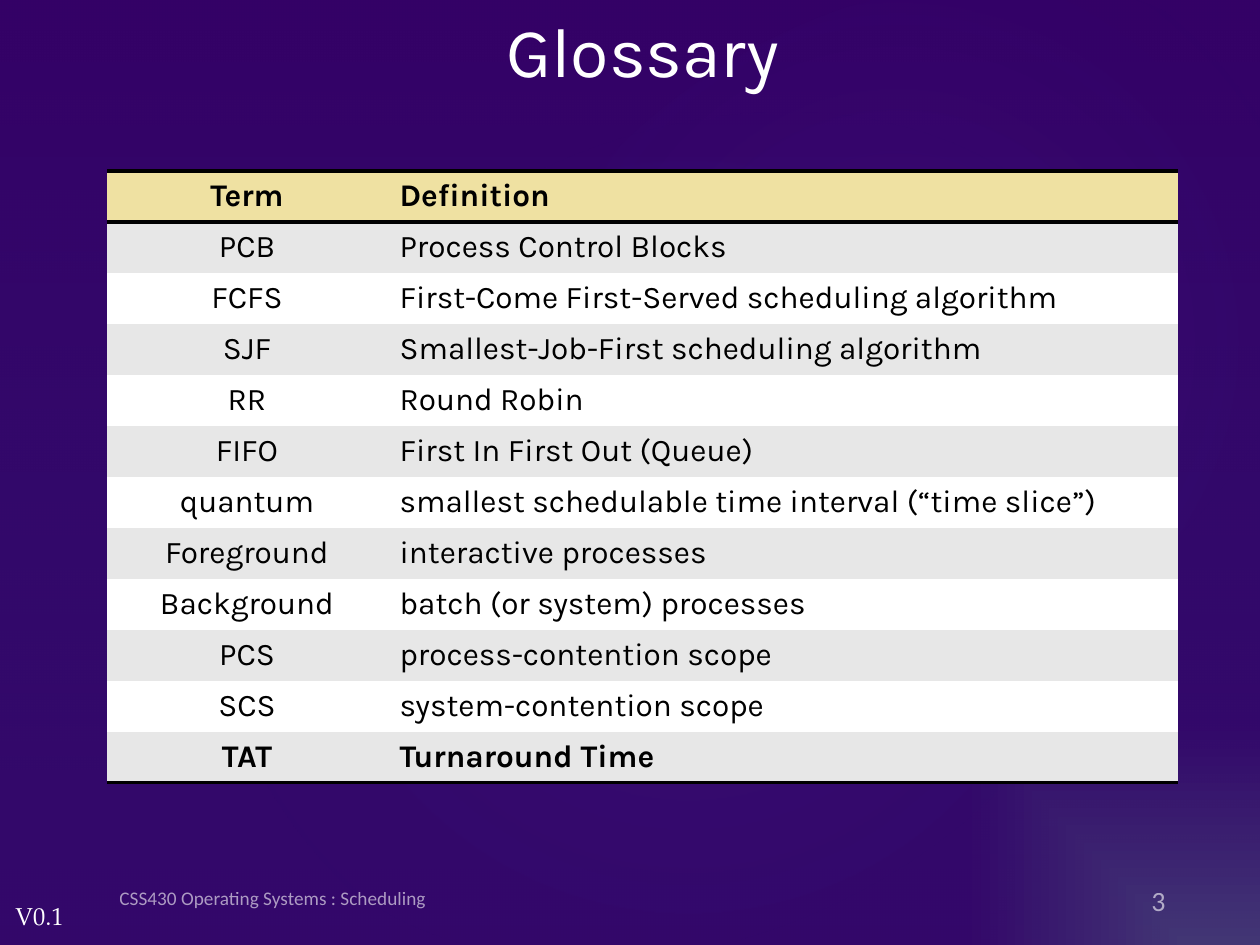
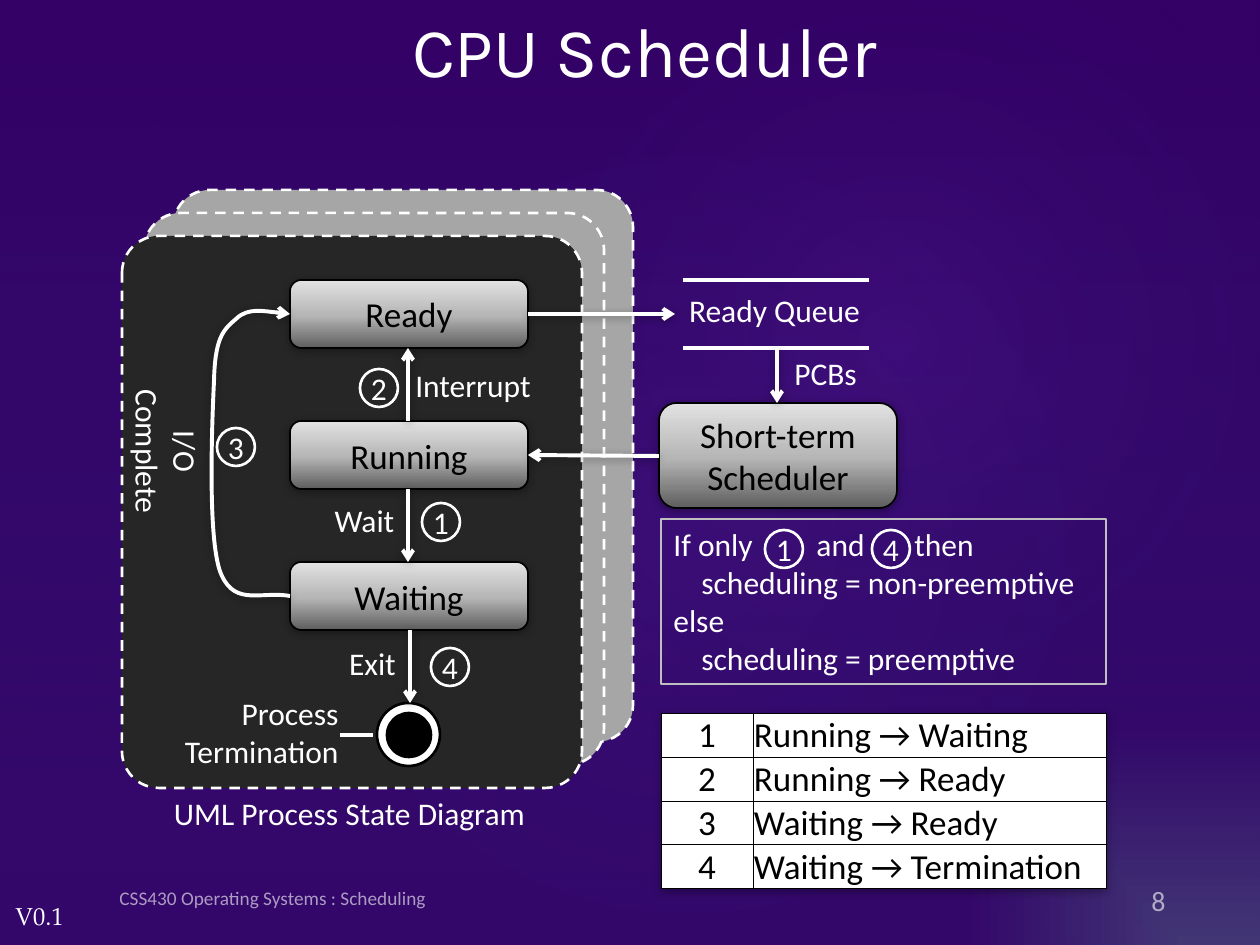
from lxml.etree import SubElement
from pptx import Presentation
from pptx.dml.color import RGBColor
from pptx.enum.dml import MSO_LINE
from pptx.enum.shapes import MSO_CONNECTOR, MSO_SHAPE
from pptx.enum.text import MSO_ANCHOR, MSO_AUTO_SIZE, PP_ALIGN
from pptx.oxml import parse_xml
from pptx.oxml.ns import nsdecls, qn
from pptx.util import Pt

PX = 914400 / 126
WHITE = RGBColor(0xFF, 0xFF, 0xFF)
BLACK = RGBColor(0, 0, 0)
SAND = RGBColor(0xEF, 0xE1, 0xA2)
PALE_GREY = RGBColor(0xE7, 0xE7, 0xE7)
RULE_GREY = RGBColor(0xBF, 0xBF, 0xBF)
SHEET_GREY = RGBColor(0xA6, 0xA6, 0xA6)
CHARCOAL = RGBColor(0x26, 0x26, 0x26)
STEEL = [RGBColor(v, v, v) for v in (0x5E, 0xB6, 0xE2)]
NIGHT = RGBColor(0x33, 0, 0x66)
NAVY = RGBColor(0x26, 0x3B, 0x86)
VIOLET = RGBColor(0xA3, 0x47, 0xFF)
DUSK = RGBColor(0x46, 0x36, 0x73)
INDIGO = RGBColor(0x35, 0x02, 0x67)
LEFT, CENTER, RIGHT = PP_ALIGN.LEFT, PP_ALIGN.CENTER, PP_ALIGN.RIGHT
PLAIN_TABLE = "{2D5ABB26-0587-4C30-8999-92F81FD0307C}"
FOOTER = "CSS430 Operating Systems : Scheduling"
CIRCLE_CENTER = (50, 50, 50, 50)


# --- Formatting helpers ---
def emu(*lengths):
    return [round(length * PX) for length in lengths]


def assign(target, **values):
    for key, value in values.items():
        setattr(target, key, value)


def gradient(owner, fill, stops, angle=None, focus=None, shape="circle"):
    """Fill with stops of (percent, colour, opacity), along an angle or around a focus."""
    fill.background()
    marks = "".join(
        f'<a:gs pos="{pos * 1000}"><a:srgbClr val="{color}">'
        f'<a:alpha val="{opacity * 1000}"/></a:srgbClr></a:gs>'
        for pos, color, opacity in stops)
    if focus:
        sides = " ".join(f'{side}="{v * 1000}"' for side, v in zip("ltrb", focus))
        way = f'<a:path path="{shape}"><a:fillToRect {sides}/></a:path>'
    else:
        way = f'<a:lin ang="{angle * 60000}" scaled="0"/>'
    blank = owner.find(".//" + qn("a:noFill"))
    blank.getparent().replace(blank, parse_xml(
        f'<a:gradFill {nsdecls("a")} rotWithShape="1"><a:gsLst>{marks}</a:gsLst>{way}</a:gradFill>'))


def soft_shadow():
    return parse_xml(
        f'<a:effectLst {nsdecls("a")}><a:outerShdw blurRad="63500" dist="12700" dir="5400000" '
        'rotWithShape="0"><a:srgbClr val="000000"><a:alpha val="32000"/></a:srgbClr>'
        '</a:outerShdw></a:effectLst>')


def set_shadow(part, visible):
    props = part._element.spPr
    for effects in props.findall(qn("a:effectLst")):
        props.remove(effects)
    if visible:
        props.append(soft_shadow())
    else:
        SubElement(props, qn("a:effectLst"))


def write(frame, text, size=18, font="Calibri", color=WHITE, align=CENTER, bold=False,
          opacity=100, **frame_format):
    assign(frame, **frame_format)
    frame.text = text
    for paragraph in frame.paragraphs:
        paragraph.alignment = align
        for run in paragraph.runs:
            assign(run.font, size=Pt(size), name=font, bold=bold)
            run.font.color.rgb = color
            if opacity < 100:
                tint = run._r.find(".//" + qn("a:srgbClr"))
                SubElement(tint, qn("a:alpha")).set("val", str(opacity * 1000))


def label(slide, text, x, y, w, h, wrap=False, turn=0, **style):
    box = slide.shapes.add_textbox(*emu(x, y, w, h))
    box.rotation = turn
    write(box.text_frame, text, word_wrap=wrap, **style)
    return box


def preset(slide, kind, box, fill=None, line=None, width=1.5):
    part = slide.shapes.add_shape(kind, *emu(*box))
    part.shadow.inherit = False
    if fill is None:
        part.fill.background()
    else:
        part.fill.solid()
        part.fill.fore_color.rgb = fill
    if line is None:
        part.line.fill.background()
    else:
        part.line.color.rgb = line
        part.line.width = Pt(width)
    return part


def stroke(part, arrow):
    part.line.color.rgb = WHITE
    part.line.width = Pt(2.25)
    if arrow:
        SubElement(part._element.spPr.find(qn("a:ln")), qn("a:tailEnd")).set("type", "arrow")
    set_shadow(part, arrow)


def connect(slide, x1, y1, x2, y2, arrow=True):
    stroke(slide.shapes.add_connector(MSO_CONNECTOR.STRAIGHT, *emu(x1, y1, x2, y2)), arrow)


def curved_arrow(slide, x, y, points):
    """Draw cubic curves: a start, then two controls and an end for each."""
    placed = [(x + dx, y + dy) for dx, dy in points]
    builder = slide.shapes.build_freeform(*placed[0], scale=PX)
    builder.add_line_segments(placed[1:], close=False)
    curve = builder.convert_to_shape()
    track = curve._element.find(".//" + qn("a:path"))
    corners = track.findall(qn("a:lnTo"))
    for start in range(0, len(corners), 3):
        bend = SubElement(track, qn("a:cubicBezTo"))
        for corner in corners[start:start + 3]:
            bend.append(corner[0])
            track.remove(corner)
    curve.fill.background()
    stroke(curve, True)


def number_badge(slide, number, x, y):
    ring = preset(slide, MSO_SHAPE.OVAL, (x, y, 38, 38), line=WHITE)
    write(ring.text_frame, number, word_wrap=False, vertical_anchor=MSO_ANCHOR.MIDDLE,
          margin_left=0, margin_right=0, margin_top=0, margin_bottom=0)


def steel_box(slide, text, *box):
    block = preset(slide, MSO_SHAPE.ROUNDED_RECTANGLE, box, line=BLACK, width=1)
    gradient(block._element, block.fill,
             [(pos, color, 100) for pos, color in zip((0, 48, 100), STEEL)], angle=270)
    set_shadow(block, True)
    write(block.text_frame, text, size=20, color=BLACK, vertical_anchor=MSO_ANCHOR.MIDDLE)


def plain_table(slide, rows, x, y, widths, row_height):
    frame = slide.shapes.add_table(len(rows), len(widths),
                                   *emu(x, y, sum(widths), row_height * len(rows)))
    table = frame.table
    assign(table, first_row=False, horz_banding=False)
    table._tbl.tblPr.find(qn("a:tableStyleId")).text = PLAIN_TABLE
    for column, width in zip(table.columns, widths):
        column.width, = emu(width)
    for row in table.rows:
        row.height, = emu(row_height)
    return table


def style_cell(cell, text, fill, borders, border_width, **style):
    write(cell.text_frame, text, color=BLACK, **style)
    cell.fill.solid()
    cell.fill.fore_color.rgb = fill
    for side in reversed(borders):
        cell._tc.tcPr.insert(0, parse_xml(
            f'<a:ln{side} {nsdecls("a")} w="{Pt(border_width)}"><a:solidFill>'
            f'<a:srgbClr val="{BLACK}"/></a:solidFill></a:ln{side}>'))


# --- Shared slide parts ---
def backdrop(slide, layout):
    """Move the glow and the version mark to the layout, where every slide shows them."""
    gradient(layout._element, layout.background.fill,
             [(0, DUSK, 100), (47, INDIGO, 100)], focus=(100, 100, 0, 0), shape="rect")
    veil = preset(slide, MSO_SHAPE.RECTANGLE, (0, 0, 1260, 945))
    gradient(veil._element, veil.fill, [(0, NIGHT, 36), (100, NAVY, 10)], angle=90)
    parts = [veil]
    for box, opacity in (((189, 144, 998, 786), 7), ((451, 16, 893, 655), 8)):
        glow = preset(slide, MSO_SHAPE.OVAL, box)
        glow.rotation = 328.7
        gradient(glow._element, glow.fill, [(0, VIOLET, opacity), (58, NAVY, 0)],
                 focus=CIRCLE_CENTER)
        parts.append(glow)
    parts.append(label(slide, "V0.1", 3, 895, 74, 43, size=14, font="TeX Gyre Pagella",
                       align=LEFT))
    for part in parts:
        layout.shapes._spTree.append(part._element)


def heading_and_footer(slide, title, number, x, width):
    heading = slide.shapes.title
    assign(heading, **dict(zip(("left", "top", "width", "height"), emu(x, 0, width, 100))))
    write(heading.text_frame, title, size=40, font="Karla",
          vertical_anchor=MSO_ANCHOR.MIDDLE, auto_size=MSO_AUTO_SIZE.NONE)
    faint = dict(wrap=True, opacity=60, vertical_anchor=MSO_ANCHOR.MIDDLE)
    label(slide, FOOTER, 107, 873, 636, 50, size=11, align=LEFT, **faint)
    label(slide, number, 1037, 873, 141, 50, size=16, align=RIGHT,
          margin_bottom=emu(1)[0], **faint)


# --- Glossary ---
GLOSSARY = [
    ("Term", "Definition"),
    ("PCB", "Process Control Blocks"),
    ("FCFS", "First-Come First-Served scheduling algorithm"),
    ("SJF", "Smallest-Job-First scheduling algorithm"),
    ("RR", "Round Robin"),
    ("FIFO", "First In First Out (Queue)"),
    ("quantum", "smallest schedulable time interval (“time slice”)"),
    ("Foreground", "interactive processes"),
    ("Background", "batch (or system) processes"),
    ("PCS", "process-contention scope"),
    ("SCS", "system-contention scope"),
    ("TAT", "Turnaround Time"),
]


def glossary_table(slide, x, y):
    table = plain_table(slide, GLOSSARY, x, y, (280, 791), 51)
    last = len(GLOSSARY) - 1
    for i, entry in enumerate(GLOSSARY):
        fill = SAND if i == 0 else PALE_GREY if i % 2 else WHITE
        borders = {0: "TB", last: "B"}.get(i, "")
        for cell, text, align in zip(table.rows[i].cells, entry, (CENTER, LEFT)):
            style_cell(cell, text, fill, borders, 2, font="Karla", align=align,
                       bold=i in (0, last))


# --- CPU scheduler ---
def state_diagram(slide, x, y):
    # Stacked process sheets
    for dx, dy, fill in ((51, 0, SHEET_GREY), (22, 23, SHEET_GREY), (0, 46, CHARCOAL)):
        sheet = preset(slide, MSO_SHAPE.ROUNDED_RECTANGLE, (x + dx, y + dy, 460, 552),
                       fill, WHITE)
        sheet.adjustments[0] = 0.08
        sheet.line.dash_style = MSO_LINE.DASH
    # States and end point
    for i, state in enumerate(("Ready", "Running", "Waiting")):
        steel_box(slide, state, x + 168, y + 90 + 141 * i, 238, 68)
    for inset, size, fill in ((0, 63, WHITE), (10, 44, BLACK)):
        preset(slide, MSO_SHAPE.OVAL, (x + 255 + inset, y + 513 + inset, size, size),
               fill, BLACK)
    # Transitions
    for dx, start, end in ((286, 299, 372), (286, 231, 158), (288, 440, 513)):
        connect(slide, x + dx, y + start, x + dx, y + end)
    connect(slide, x + 218, y + 545, x + 251, y + 545, arrow=False)
    curved_arrow(slide, x, y, [
        (168, 406), (140, 401), (114, 416), (100, 386), (85, 357), (90, 233), (92, 191),
        (93, 148), (101, 140), (114, 129), (126, 117), (168, 124), (168, 124)])
    for number, dx, dy in (("1", 300, 313), ("2", 238, 179), ("3", 95, 238), ("4", 309, 458)):
        number_badge(slide, number, x + dx, y + dy)
    # Captions
    for text, dx, dy, w, h in (("Exit", 214, 448, 73, 50), ("Wait", 199, 305, 87, 50),
                               ("Interrupt", 280, 170, 142, 50),
                               ("UML Process State Diagram", -5, 598, 465, 50)):
        label(slide, text, x + dx, y + dy, w, h)
    label(slide, "I/O\nComplete", x - 31, y + 217, 151, 89, turn=90)
    label(slide, "Process Termination", x, y + 498, 229, 89, wrap=True, align=RIGHT)


def dispatch_path(slide, x, y):
    for dy in (0, 68):
        connect(slide, x + 155, y + dy, x + 341, y + dy, arrow=False)
    label(slide, "Ready Queue", x + 147, y + 5, 199, 50)
    steel_box(slide, "Short-term\nScheduler", x + 131, y + 123, 238, 105)
    for x1, y1, x2, y2 in ((0, 34, 147, 34), (131, 176, 0, 175), (249, 68, 249, 123)):
        connect(slide, x + x1, y + y1, x + x2, y + y2)
    label(slide, "PCBs", x + 254, y + 68, 89, 50, align=LEFT)


def preemption_rule(slide, x, y):
    rule = preset(slide, MSO_SHAPE.RECTANGLE, (x, y, 445, 165), line=RULE_GREY, width=0.75)
    write(rule.text_frame, "If only\tand\tthen\nscheduling = non-preemptive\nelse\n"
          "scheduling = preemptive", align=LEFT, vertical_anchor=MSO_ANCHOR.TOP)
    condition, *branches = rule.text_frame.paragraphs
    tabs = SubElement(condition._p.get_or_add_pPr(), qn("a:tabLst"))
    for stop in emu(143, 241):
        tab = SubElement(tabs, qn("a:tab"))
        tab.set("pos", str(stop))
        tab.set("algn", "l")
    for branch in branches[::2]:
        branch._p.get_or_add_pPr().set("marL", str(emu(28)[0]))
    for number, dx in (("1", 104), ("4", 211)):
        number_badge(slide, number, x + dx, y + 11)


def transition_table(slide, x, y):
    moves = ["Running → Waiting", "Running → Ready", "Waiting → Ready", "Waiting → Termination"]
    table = plain_table(slide, moves, x, y, (92, 353), 44)
    table._tbl.tblPr.insert(0, soft_shadow())
    hair, = emu(1)
    for i, move in enumerate(moves):
        for cell, text, align in zip(table.rows[i].cells, (str(i + 1), move), (CENTER, LEFT)):
            assign(cell, margin_left=hair, margin_right=hair, margin_top=hair, margin_bottom=0,
                   vertical_anchor=MSO_ANCHOR.MIDDLE)
            style_cell(cell, text, WHITE, "LRTB", 0.5, size=20, align=align)


def main():
    deck = Presentation()
    deck.slide_width, deck.slide_height = emu(1260, 945)
    title_only = deck.slide_layouts[5]

    glossary = deck.slides.add_slide(title_only)
    backdrop(glossary, title_only)
    heading_and_footer(glossary, "Glossary", "3", 107, 1071)
    glossary_table(glossary, 107, 171)

    scheduler = deck.slides.add_slide(title_only)
    heading_and_footer(scheduler, "CPU Scheduler", "8", 117, 1055)
    state_diagram(scheduler, 122, 190)
    dispatch_path(scheduler, 528, 280)
    preemption_rule(scheduler, 661, 519)
    transition_table(scheduler, 661, 713)

    deck.save("out.pptx")


if __name__ == "__main__":
    main()
